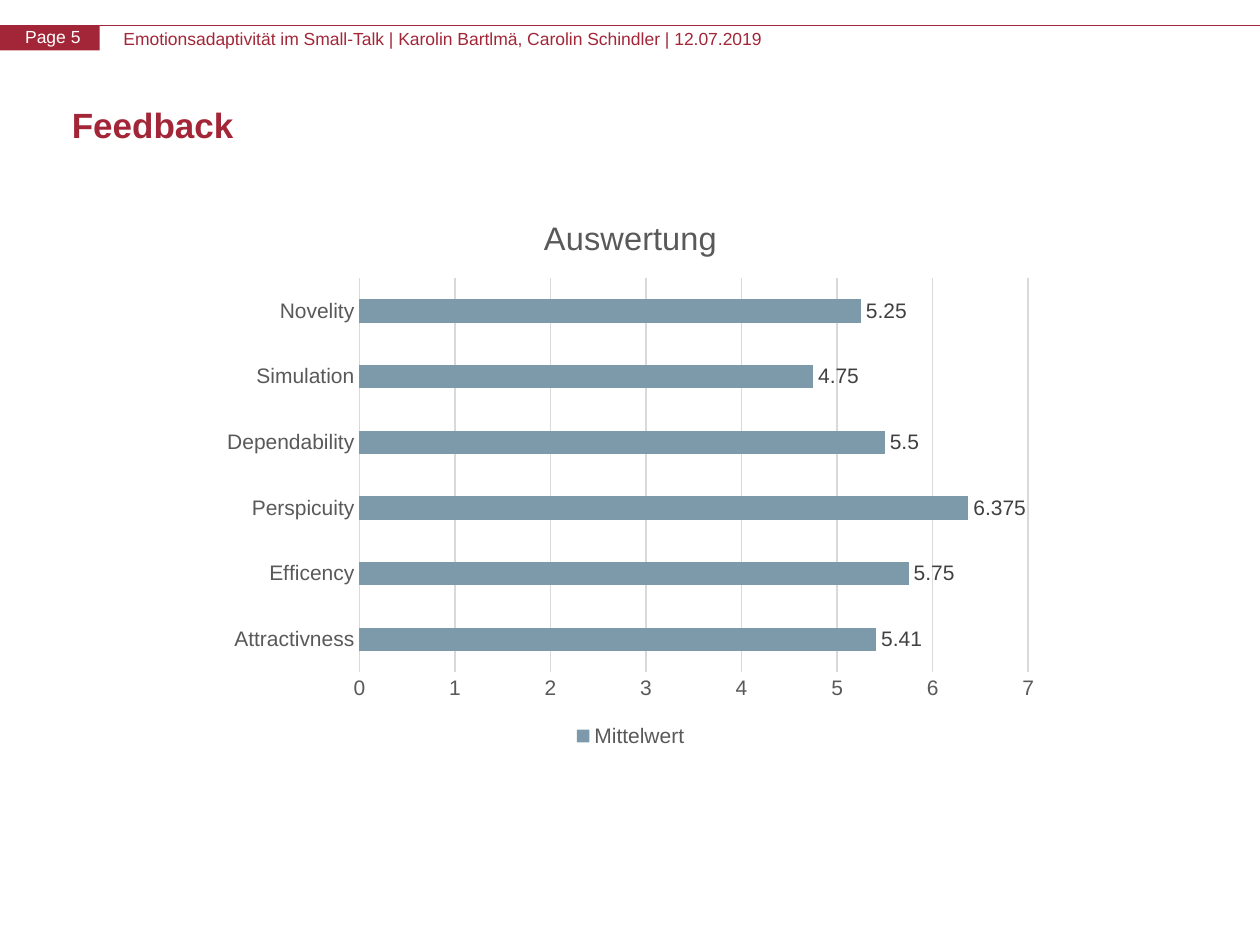
from lxml.etree import SubElement
from pptx import Presentation
from pptx.chart.data import CategoryChartData
from pptx.dml.color import RGBColor
from pptx.enum.chart import XL_CHART_TYPE, XL_LABEL_POSITION, XL_LEGEND_POSITION, XL_TICK_MARK
from pptx.enum.shapes import MSO_CONNECTOR, MSO_SHAPE
from pptx.enum.text import MSO_ANCHOR, PP_ALIGN
from pptx.oxml.ns import qn
from pptx.util import Inches, Pt

RED = RGBColor(0xA3, 0x26, 0x38)
WHITE = RGBColor(0xFF, 0xFF, 0xFF)
BLUE_GREY = RGBColor(0x7D, 0x9A, 0xAA)
GRID_GREY = RGBColor(0xD9, 0xD9, 0xD9)
TEXT_GREY = RGBColor(0x59, 0x59, 0x59)
LABEL_GREY = RGBColor(0x40, 0x40, 0x40)
FONT = "Arial"

SCORES = {
    "Attractivness": 5.41,
    "Efficency": 5.75,
    "Perspicuity": 6.375,
    "Dependability": 5.5,
    "Simulation": 4.75,
    "Novelity": 5.25,
}


def style_font(font, size, color, bold=False):
    font.name = FONT
    font.size = Pt(size)
    font.bold = bold
    font.color.rgb = color


def write(tf, text, size=10, color=RED, bold=False, anchor=MSO_ANCHOR.TOP, spacing=None):
    tf.word_wrap = True
    tf.vertical_anchor = anchor
    p = tf.paragraphs[0]
    p.alignment = PP_ALIGN.LEFT
    if spacing:
        p.line_spacing = Pt(spacing)
    r = p.add_run()
    r.text = text
    style_font(r.font, size, color, bold)


class SlideBuilder:
    """Adds elements in the deck's style to one slide; boxes are in inches."""

    def __init__(self, slide):
        self.slide = slide
        self.shapes = slide.shapes

    def title(self, text, box):
        s = self.shapes.title
        s.left, s.top, s.width, s.height = map(Inches, box)
        write(s.text_frame, text, size=20, bold=True, anchor=MSO_ANCHOR.MIDDLE, spacing=24)

    def text(self, text, box, **fmt):
        tf = self.shapes.add_textbox(*map(Inches, box)).text_frame
        tf.margin_left = tf.margin_top = tf.margin_right = tf.margin_bottom = 0
        write(tf, text, **fmt)

    def rect(self, box, color):
        s = self.shapes.add_shape(MSO_SHAPE.RECTANGLE, *map(Inches, box))
        s.shadow.inherit = False
        s.fill.solid()
        s.fill.fore_color.rgb = color
        s.line.fill.background()

    def line(self, ends, color, width):
        c = self.shapes.add_connector(MSO_CONNECTOR.STRAIGHT, *map(Inches, ends))
        c.line.color.rgb = color
        c.line.width = Pt(width)
        SubElement(c._element.spPr, qn("a:effectLst"))

    def bar_chart(self, title, series_name, values, box):
        data = CategoryChartData()
        data.categories = list(values)
        data.add_series(series_name, list(values.values()))
        chart = self.shapes.add_chart(
            XL_CHART_TYPE.BAR_CLUSTERED, *map(Inches, box), data).chart
        chart.font.name = FONT
        chart.font.size = Pt(10)

        chart.has_title = True
        chart.chart_title.include_in_layout = False
        tf = chart.chart_title.text_frame
        tf.text = title
        style_font(tf.paragraphs[0].runs[0].font, 18.6, TEXT_GREY)

        chart.has_legend = True
        chart.legend.position = XL_LEGEND_POSITION.BOTTOM
        chart.legend.include_in_layout = False
        style_font(chart.legend.font, 12, TEXT_GREY)

        for axis in (chart.category_axis, chart.value_axis):
            axis.major_tick_mark = axis.minor_tick_mark = XL_TICK_MARK.NONE
            style_font(axis.tick_labels.font, 12, TEXT_GREY)
        value_axis = chart.value_axis
        value_axis.minimum_scale, value_axis.maximum_scale = 0, 7
        value_axis.major_unit = 1
        value_axis.format.line.fill.background()
        for fmt in (chart.category_axis.format, value_axis.major_gridlines.format):
            fmt.line.color.rgb = GRID_GREY
            fmt.line.width = Pt(0.75)

        plot = chart.plots[0]
        plot.gap_width = 182
        plot.vary_by_categories = False
        series = plot.series[0]
        series.format.fill.solid()
        series.format.fill.fore_color.rgb = BLUE_GREY
        labels = series.data_labels
        labels.show_value = True
        labels.position = XL_LABEL_POSITION.OUTSIDE_END
        style_font(labels.font, 12, LABEL_GREY)


def main():
    prs = Presentation()
    prs.slide_width, prs.slide_height = Inches(10), Inches(7.5)
    b = SlideBuilder(prs.slides.add_slide(prs.slide_layouts[5]))

    b.line((0, 0.2, 10, 0.2), RED, 0.75)
    b.rect((0, 0.2, 0.79, 0.2), RED)
    b.text("Emotionsadaptivität im Small-Talk | Karolin Bartlmä, Carolin Schindler | 12.07.2019",
           (0.98, 0.22, 6.6, 0.17))
    b.text("Page 5", (0.2, 0.21, 0.62, 0.34), color=WHITE)
    b.title("Feedback", (0.47, 0.59, 9.06, 0.79))
    b.bar_chart("Auswertung", "Mittelwert", SCORES, (1.67, 1.53, 6.67, 4.44))

    prs.save("out.pptx")


if __name__ == "__main__":
    main()
